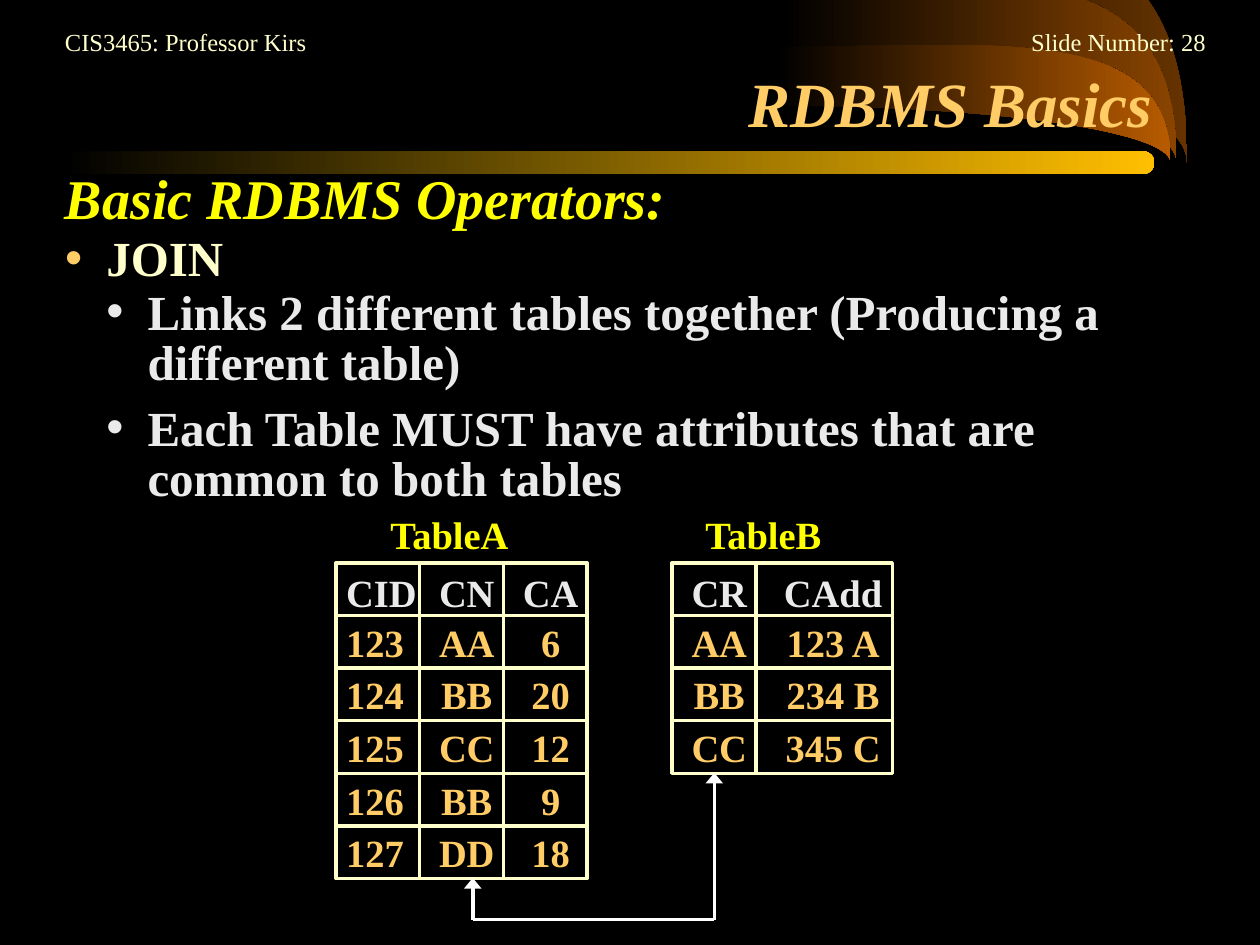
from lxml import etree
from pptx import Presentation
from pptx.dml.color import RGBColor
from pptx.enum import shapes, text
from pptx.oxml import ns
from pptx.util import Cm, Pt

BLACK = RGBColor(0x00, 0x00, 0x00)
WHITE = RGBColor(0xFF, 0xFF, 0xFF)
CREAM = RGBColor(0xFF, 0xFF, 0xCC)
GOLD = RGBColor(0xFF, 0xCC, 0x66)
YELLOW = RGBColor(0xFF, 0xFF, 0x00)
GRAY = RGBColor(0xEA, 0xEA, 0xEA)
AMBER = RGBColor(0xFF, 0xBF, 0x00)
BROWNS = (RGBColor(0x66, 0x33, 0x00), RGBColor(0x89, 0x44, 0x00),
          RGBColor(0xB7, 0x5B, 0x00))
SERIF = "Times New Roman"
COL, ROW = 1.69, 1.06  # grid cell, cm


def place(shape, box):
    shape.left, shape.top, shape.width, shape.height = map(Cm, box)


def style(para, size, color, bold=True, italic=False, align=text.PP_ALIGN.LEFT):
    para.alignment = align
    font = para.font
    font.name, font.size = SERIF, Pt(size)
    font.bold, font.italic = bold, italic
    font.color.rgb = color


def label(slide, box, words, size, color, **look):
    frame = slide.shapes.add_textbox(*map(Cm, box)).text_frame
    frame.word_wrap = True
    frame.text = words
    style(frame.paragraphs[0], size, color, **look)


def shade(shape, color):
    """Fade from black at the left to the given color."""
    shape.shadow.inherit = False
    shape.line.fill.background()
    shape.fill.gradient()
    shape.fill.gradient_angle = 0
    for stop, tint in zip(shape.fill.gradient_stops, (BLACK, color)):
        stop.color.rgb = tint
    first, last = shape.fill.gradient_stops
    first.position, last.position = 0, 1


def swoosh(slide, box, color):
    """A horn between two curves that meet at the lower right."""
    x, y, w, h = map(Cm, box)
    form = slide.shapes.build_freeform(x, y + int(h * 0.51))
    form.add_line_segments([(x + w, y + h), (x, y)], close=True)
    shape = form.convert_to_shape()
    bends = (((0.55, 0.51), (1, 0.73)), ((1, -0.22), (0.55, 0)))
    sides = list(shape.element.iter(ns.qn("a:lnTo")))
    for side, bend in zip(sides, bends):
        side.tag = ns.qn("a:cubicBezTo")
        for i, (px, py) in enumerate(bend):
            side.insert(i, etree.Element(ns.qn("a:pt"), x=str(int(w * px)),
                                         y=str(int(h * py))))
    shade(shape, color)


def decor(slide):
    base = 3.28
    for x, y, color in zip((15.98, 15.77, 15.65), (-1.24, -0.3, 0.94), BROWNS):
        swoosh(slide, (x, y, 7.95, base - y), color)
    bar = slide.shapes.add_shape(shapes.MSO_SHAPE.ROUNDED_RECTANGLE,
                                 *map(Cm, (1.27, 3.05, 22, 0.46)))
    bar.adjustments[0] = 0.5
    shade(bar, AMBER)


def head(slide, box):
    title = slide.shapes.title
    slide.shapes.element.append(title.element)  # in front of the decor
    place(title, box)
    frame = title.text_frame
    frame.text = "RDBMS Basics"
    frame.auto_size = text.MSO_AUTO_SIZE.NONE
    frame.vertical_anchor = text.MSO_ANCHOR.BOTTOM
    style(frame.paragraphs[0], 36, GOLD, italic=True, align=text.PP_ALIGN.RIGHT)


def bullet(para, level, color):
    props = para._p.get_or_add_pPr()
    props.set("marL", str(Cm(0.83 * (level + 1))))
    props.set("indent", str(-Cm(0.83)))
    tint = etree.Element(ns.qn("a:buClr"))
    etree.SubElement(tint, ns.qn("a:srgbClr"), val=str(color))
    face = etree.Element(ns.qn("a:buFont"), typeface="Arial")
    mark = etree.Element(ns.qn("a:buChar"), char="•")
    rest = props.find(ns.qn("a:defRPr"))
    for node in (tint, face, mark):
        rest.addprevious(node)


def points(slide, box):
    body = slide.placeholders[1]
    slide.shapes.element.append(body.element)
    place(body, box)
    frame = body.text_frame
    frame.auto_size = text.MSO_AUTO_SIZE.NONE
    items = (
        ("JOIN", 0, CREAM, GOLD, 0),
        ("Links 2 different tables together (Producing a different table)",
         1, GRAY, GRAY, 2),
        ("Each Table MUST have attributes that are common to both tables",
         1, GRAY, GRAY, 9),
    )
    frame.text = "\n".join(item[0] for item in items)
    for para, (_, level, color, dot, gap) in zip(frame.paragraphs, items):
        para.level = level
        para.line_spacing = 0.85
        para.space_before = Pt(gap)
        style(para, 28, color)
        bullet(para, level, dot)


def cell(slide, box, words, color, anchor, align):
    rect = slide.shapes.add_shape(shapes.MSO_SHAPE.RECTANGLE, *map(Cm, box))
    rect.shadow.inherit = False
    rect.fill.background()
    rect.line.color.rgb = CREAM
    rect.line.width = Pt(2)
    frame = rect.text_frame
    frame.margin_left = Cm(0.21 if box[2] == COL else 0.36)
    frame.margin_right = frame.margin_top = frame.margin_bottom = 0
    frame.vertical_anchor = anchor
    frame.text = words
    style(frame.paragraphs[0], 22, color, align=align)


def grid(slide, box, name, shift, cols, rows, left=()):
    """A named grid of cells; the columns listed in left are left aligned."""
    x, y = box
    label(slide, (x + shift, y - 1.18, 5.08, 1.19), name, 22, YELLOW)
    for c, wide in enumerate(cols):
        align = text.PP_ALIGN.LEFT if c in left else text.PP_ALIGN.CENTER
        for r, row in enumerate(rows):
            color = GOLD if r else GRAY
            anchor = text.MSO_ANCHOR.MIDDLE if r else text.MSO_ANCHOR.BOTTOM
            spot = (x + sum(cols[:c]), y + r * ROW, wide, ROW)
            cell(slide, spot, row[c], color, anchor, align)


def link(slide, box):
    """Two arrows up from a shared base line."""
    x, y, w, h = box
    end, base = x + w, y + h
    for x1, y1, x2, y2, tip in ((x, base, end, base, False),
                                (x, base, x, base - 0.84, True),
                                (end, base, end, y, True)):
        line = slide.shapes.add_connector(shapes.MSO_CONNECTOR.STRAIGHT,
                                          *map(Cm, (x1, y1, x2, y2)))
        line.line.color.rgb = WHITE
        line.line.width = Pt(2)
        if tip:
            etree.SubElement(line.line._get_or_add_ln(), ns.qn("a:tailEnd"),
                             type="triangle", w="lg")
        etree.SubElement(line.element.spPr, ns.qn("a:effectLst"))


def main():
    prs = Presentation()
    prs.slide_width, prs.slide_height = Cm(25.4), Cm(19.05)
    slide = prs.slides.add_slide(prs.slide_layouts[1])
    slide.background.fill.solid()
    slide.background.fill.fore_color.rgb = BLACK

    # Background art and running heads
    decor(slide)
    label(slide, (1.06, 0.43, 6.78, 0.86), "CIS3465: Professor Kirs", 14, CREAM,
          bold=False)
    label(slide, (17.78, 0.43, 6.78, 0.86), "Slide Number: 28", 14, CREAM,
          bold=False, align=text.PP_ALIGN.RIGHT)

    # Title, heading and list
    head(slide, (1.9, 1.06, 21.59, 1.9))
    label(slide, (1.06, 3.18, 13.34, 1.63), "Basic RDBMS Operators:", 32, YELLOW,
          italic=True)
    points(slide, (1.06, 4.65, 23.06, 5.69))

    # Tables and the link between their common columns
    grid(slide, (6.77, 11.35), "TableA", 0.85, (COL,) * 3, (
        ("CID", "CN", "CA"), ("123", "AA", "6"), ("124", "BB", "20"),
        ("125", "CC", "12"), ("126", "BB", "9"), ("127", "DD", "18")), left=(0,))
    grid(slide, (13.55, 11.35), "TableB", 0.42, (COL, 2.75), (
        ("CR", "CAdd"), ("AA", "123 A"), ("BB", "234 B"), ("CC", "345 C")))
    link(slide, (9.53, 15.58, 4.87, 2.96))
    prs.save("out.pptx")


if __name__ == "__main__":
    main()
